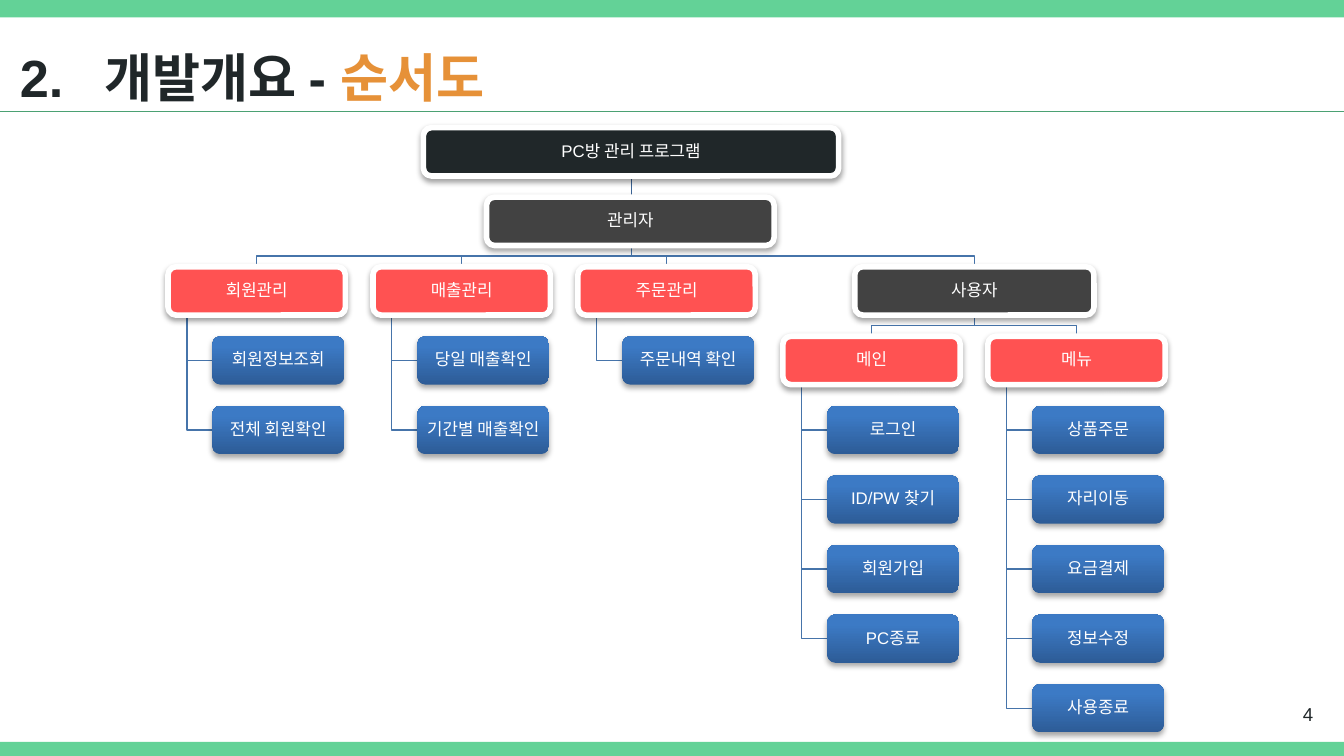
"""Build the flowchart slide of the PC room management program."""
from lxml.etree import SubElement
from pptx import Presentation
from pptx.dml.color import RGBColor
from pptx.enum.shapes import MSO_CONNECTOR as Connector, MSO_SHAPE as Shape
from pptx.enum.text import MSO_ANCHOR as Anchor, PP_ALIGN as Align
from pptx.oxml.ns import qn
from pptx.util import Inches, Pt

FONT = "Arial"
INK = RGBColor(0x20, 0x27, 0x29)
GRAY = RGBColor(0x42, 0x42, 0x42)
RED = RGBColor(0xFF, 0x52, 0x52)
WHITE = RGBColor(0xFF, 0xFF, 0xFF)
ORANGE = RGBColor(0xE6, 0x91, 0x38)
GREEN = RGBColor(0x63, 0xD2, 0x97)
RULE_GREEN = RGBColor(0x4B, 0xA1, 0x73)
LINK_BLUE = RGBColor(0x46, 0x74, 0xAA)
ROOT_BLUE = RGBColor(0x3B, 0x64, 0x95)
LEAF_DARK = RGBColor(0x2D, 0x5C, 0x97)
LEAF_LIGHT = RGBColor(0x3C, 0x7A, 0xC5)

ROW_TOPS = [0.95 + row * (5.09 - 0.95) / 8 for row in range(9)]
MENU_LEFTS = [1.25 + column * (7.35 - 1.25) / 4 for column in range(5)]
BOX_HEIGHT, MENU_WIDTH, LEAF_WIDTH = 0.36, 1.32, 0.98
LEAF_INDENT, TRUNK_INDENT = 0.33, 0.14
ADMIN_CENTER, USER_CENTER = 4.7, 7.25

MENUS = [
    (2, "회원관리", ["회원정보조회", "전체 회원확인"]),
    (2, "매출관리", ["당일 매출확인", "기간별 매출확인"]),
    (2, "주문관리", ["주문내역 확인"]),
    (3, "메인", ["로그인", "ID/PW 찾기", "회원가입", "PC종료"]),
    (3, "메뉴", ["상품주문", "자리이동", "요금결제", "정보수정", "사용종료"]),
]


def add_bar(page, *place):
    """Add a plain green band."""
    bar = page.shapes.add_shape(Shape.RECTANGLE, *map(Inches, place))
    bar.shadow.inherit = False
    bar.fill.solid()
    bar.fill.fore_color.rgb = GREEN
    bar.line.fill.background()


def add_line(page, start, end, color):
    """Add a thin straight line between two points."""
    line = page.shapes.add_connector(Connector.STRAIGHT, *map(Inches, start + end))
    line.line.color.rgb = color
    line.line.width = Pt(0.75)
    SubElement(line.element.spPr, qn("a:effectLst"))


def add_path(page, points):
    """Add an open bent link through the given points."""
    start, *rest = [(Inches(x), Inches(y)) for x, y in points]
    builder = page.shapes.build_freeform(*start)
    builder.add_line_segments(rest, close=False)
    path = builder.convert_to_shape()
    path.shadow.inherit = False
    path.fill.background()
    path.line.color.rgb = LINK_BLUE
    path.line.width = Pt(0.75)


def add_branch(page, parent_x, child_x, row):
    """Link a parent in a row to a child in the next row."""
    top, bottom = ROW_TOPS[row] + BOX_HEIGHT, ROW_TOPS[row + 1]
    middle = (top + bottom) / 2
    add_path(page, [(parent_x, top), (parent_x, middle),
                    (child_x, middle), (child_x, bottom)])


def add_twig(page, left, row, leaf_row):
    """Link a menu box to one of the leaves below it."""
    trunk, level = left + TRUNK_INDENT, ROW_TOPS[leaf_row] + BOX_HEIGHT / 2
    add_path(page, [(trunk, ROW_TOPS[row] + BOX_HEIGHT), (trunk, level),
                    (left + LEAF_INDENT, level)])


def add_shadow(shape, distance, percent):
    """Give a shape a soft shadow straight below it."""
    shape.shadow.inherit = False
    effects = shape.element.spPr.find(qn("a:effectLst"))
    outer = SubElement(effects, qn("a:outerShdw"), blurRad=str(Pt(3.1)),
                       dist=str(Pt(distance)), dir="5400000", rotWithShape="0")
    black = SubElement(outer, qn("a:srgbClr"), val="000000")
    SubElement(black, qn("a:alpha"), val=str(percent * 1000))


def write(shape, spans, size, margin):
    """Write coloured spans into a shape and return the paragraph."""
    frame = shape.text_frame
    frame.word_wrap = True
    frame.margin_left = frame.margin_right = Inches(margin)
    frame.margin_top = frame.margin_bottom = Inches(margin)
    para = frame.paragraphs[0]
    para.font.name, para.font.size = FONT, Pt(size)
    for text, color in spans:
        span = para.add_run()
        span.text = text
        span.font.color.rgb = color
    return para


def add_box(page, text, left, row, width):
    """Add a rounded box with a centred label and return it."""
    place = (left, ROW_TOPS[row], width, BOX_HEIGHT)
    box = page.shapes.add_shape(Shape.ROUNDED_RECTANGLE, *map(Inches, place))
    box.text_frame.vertical_anchor = Anchor.MIDDLE
    para = write(box, [(text, WHITE)], 9, 0.01)
    para.alignment = Align.CENTER
    para.line_spacing = 0.9
    return box


def add_framed_box(page, text, left, row, width, color):
    """Add a solid box with a white frame."""
    box = add_box(page, text, left, row, width)
    box.fill.solid()
    box.fill.fore_color.rgb = color
    box.line.color.rgb = WHITE
    box.line.width = Pt(3)
    add_shadow(box, 1.6, 37)


def add_leaf(page, text, left, row):
    """Add a blue gradient box for a single function."""
    box = add_box(page, text, left, row, LEAF_WIDTH)
    box.fill.gradient()
    box.fill.gradient_angle = 90
    stops = zip(box.fill.gradient_stops, (0, 0.8), (LEAF_DARK, LEAF_LIGHT))
    for stop, position, color in stops:
        stop.position = position
        stop.color.rgb = color
    box.line.fill.background()
    add_shadow(box, 1.8, 34)


def add_title(page):
    """Add the numbered title with a hanging indent."""
    box = page.shapes.add_textbox(*map(Inches, (0.05, 0.17, 9.58, 0.63)))
    para = write(box, [("2.\t개발개요 - ", INK), ("순서도", ORANGE)], 28, 0.1)
    para.font.bold = True
    para.line_spacing = 1.15
    properties = para._p.get_or_add_pPr()
    properties.set("marL", str(Inches(0.63)))
    properties.set("indent", str(-Inches(0.63)))


def add_page_number(page):
    """Add the page number at the lower right."""
    box = page.shapes.add_textbox(*map(Inches, (9.27, 5.1, 0.6, 0.43)))
    box.text_frame.vertical_anchor = Anchor.MIDDLE
    write(box, [("4", INK)], 10, 0.1).alignment = Align.RIGHT


def add_links(page):
    """Draw every link of the chart."""
    add_line(page, (ADMIN_CENTER, ROW_TOPS[0] + BOX_HEIGHT),
             (ADMIN_CENTER, ROW_TOPS[1]), ROOT_BLUE)
    add_branch(page, ADMIN_CENTER, USER_CENTER, 1)
    for left, (row, _, leaves) in zip(MENU_LEFTS, MENUS):
        parent = ADMIN_CENTER if row == 2 else USER_CENTER
        add_branch(page, parent, left + MENU_WIDTH / 2, row - 1)
        for leaf_row, _ in enumerate(leaves, row + 1):
            add_twig(page, left, row, leaf_row)


def add_boxes(page):
    """Draw every box of the chart."""
    add_framed_box(page, "PC방 관리 프로그램", 3.15, 0, 3.09, INK)
    add_framed_box(page, "관리자", 3.62, 1, 2.14, GRAY)
    add_framed_box(page, "사용자", 6.36, 2, 1.78, GRAY)
    for left, (row, name, leaves) in zip(MENU_LEFTS, MENUS):
        add_framed_box(page, name, left, row, MENU_WIDTH, RED)
        for leaf_row, leaf in enumerate(leaves, row + 1):
            add_leaf(page, leaf, left + LEAF_INDENT, leaf_row)


def main():
    """Build the deck and save it."""
    deck = Presentation()
    deck.slide_width, deck.slide_height = Inches(10), Inches(10 * 9 / 16)
    page = deck.slides.add_slide(deck.slide_layouts[6])
    add_bar(page, 0, 5.52, 10, 0.11)
    add_title(page)
    add_links(page)
    add_boxes(page)
    add_page_number(page)
    add_bar(page, -0.02, 0, 10.03, 0.13)
    add_line(page, (0, 0.83), (10.02, 0.83), RULE_GREEN)
    deck.save("out.pptx")


if __name__ == "__main__":
    main()
